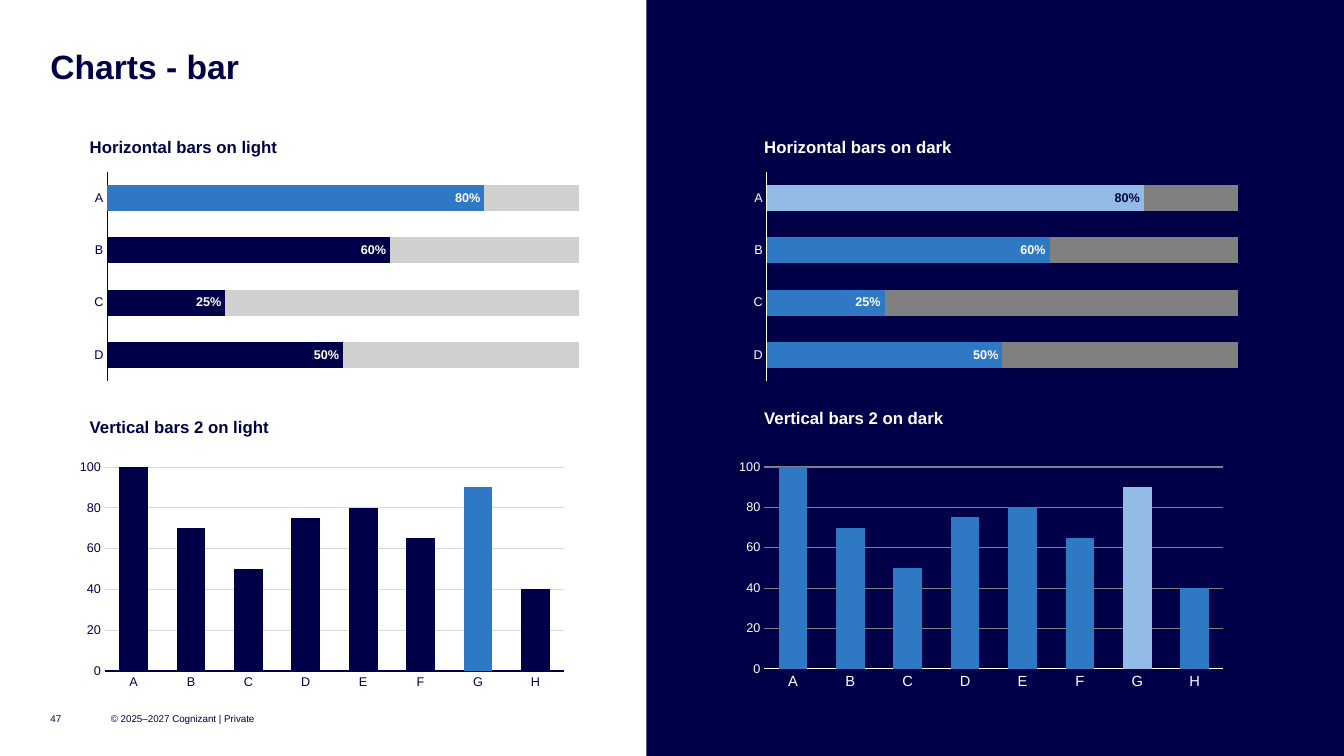
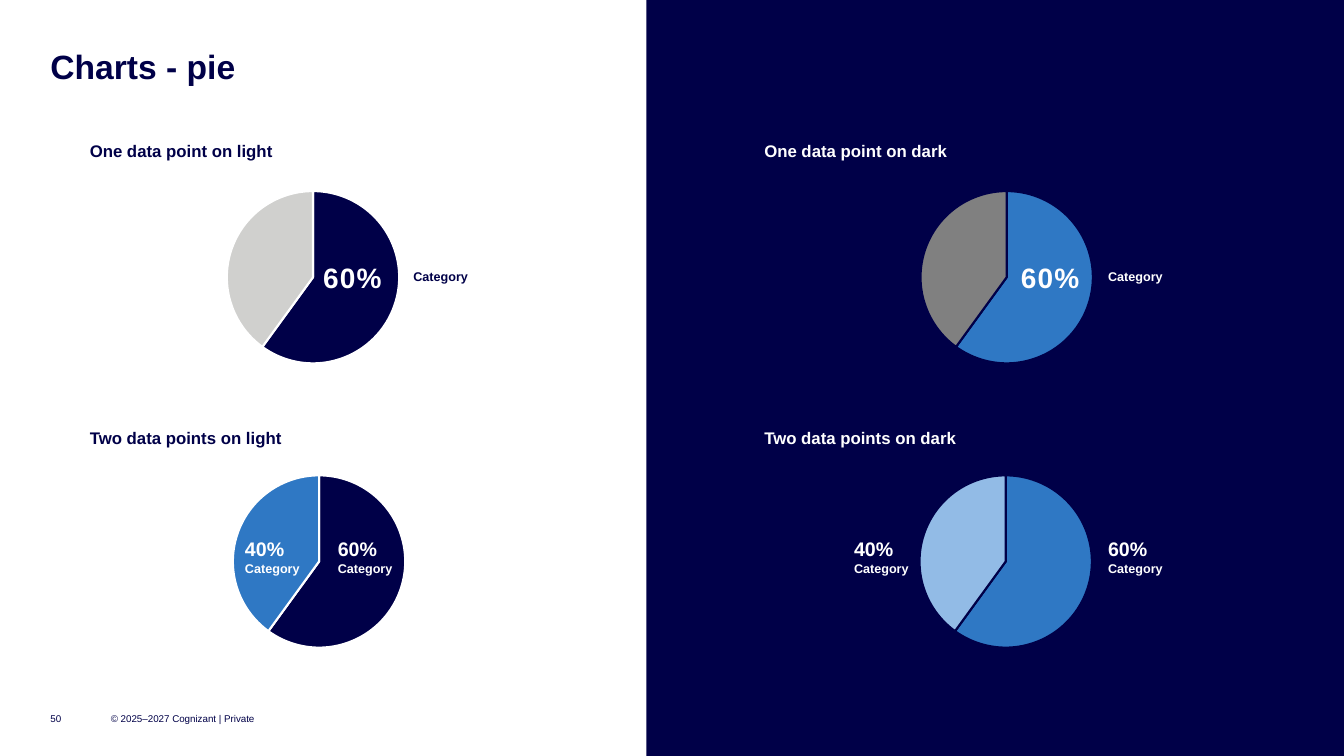
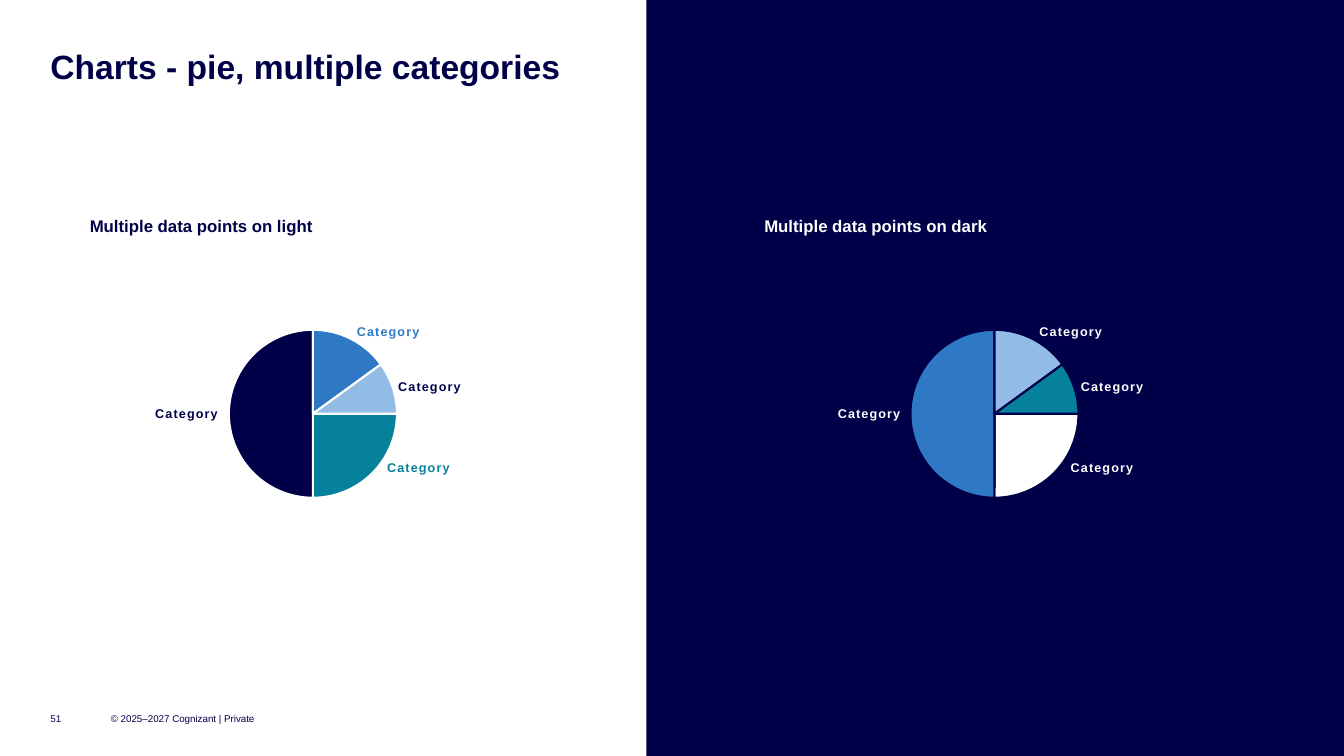
"""Builds three slides of bar and pie chart samples on light and dark halves."""
from lxml import etree
from pptx import Presentation
from pptx import util as u
from pptx.chart.data import CategoryChartData
from pptx.dml.color import RGBColor
from pptx.enum import chart as ch, shapes, text
from pptx.oxml.ns import qn

COLORS = dict(navy="000048", blue="2F78C4", sky="92BBE6", teal="05819B", white="FFFFFF",
              silver="D0D0CE", gray="808080", mist="D9D9D9")
FONT = "Arial"
WIDTH, HEIGHT = 13.33, 7.5
PANEL_LEFT = 6.41
HEADING_LEFTS = (0.89, 7.58)
FOOTER = "© 2025–2027 Cognizant | Private"

SIDES = (
    dict(name="light", ink="navy", bar="navy", accent="blue", rest="silver", edge="white",
         grid="mist", accent_label="white", letter_size=9, column_share=0.854),
    dict(name="dark", ink="white", bar="blue", accent="sky", rest="gray", edge="navy",
         grid="gray", accent_label="navy", letter_size=10.5, column_share=0.845),
)

PROGRESS = dict(zip("DCBA", (0.5, 0.25, 0.6, 0.8)))
SCORES = dict(zip("ABCDEFGH", (100, 70, 50, 75, 80, 65, 90, 40)))
BAR_HEADINGS = (("Horizontal bars on", (1.36, 1.36)), ("Vertical bars 2 on", (4.13, 4.05)))
PROGRESS_LEFTS, PROGRESS_TOP = (0.84, 7.38), 1.67
SCORE_LEFTS, SCORE_TOP = (0.69, 7.23), 4.52

SPLIT = (60, 40)
ONE_POINT = dict(heading="One data point on", top=1.4, lefts=(1.6, 8.48), pie_top=1.75,
                 value_lefts=(3.2, 10.12), category_lefts=(4.1, 10.99))
TWO_POINTS = dict(heading="Two data points on", top=4.24, lefts=(1.66, 8.47), pie_top=4.57,
                  label_top=5.33, labels=(("40%", (2.43, 8.47)), ("60%", (3.35, 10.99))))

SHARES = (25, 50, 15, 10)
SHARE_LEFTS, SHARE_TOP = (1.64, 8.4), 3.13
SHARE_COLORS = (("teal", "navy", "blue", "sky"), ("white", "blue", "sky", "teal"))
SHARE_LABELS = (
    ((1.54, 8.31), 4.03, "navy"),
    ((3.54, 10.31), 3.21, "blue"),
    ((3.95, 10.72), 3.76, "navy"),
    ((3.84, 10.62), 4.56, "teal"),
)


def rgb(name):
    return RGBColor.from_string(COLORS[name])


def inches(*lengths):
    return [u.Inches(length) for length in lengths]


def style(font, size, color, bold=False):
    font.name, font.size, font.bold = FONT, u.Pt(size), bold
    font.color.rgb = rgb(color)


def write(shape, *lines, color="navy", bold=True, wrap=True, grow=True, middle=False,
          center=False, leading=None, tracking=0):
    frame = shape.text_frame
    frame.margin_left = frame.margin_right = frame.margin_top = frame.margin_bottom = 0
    frame.word_wrap = wrap
    frame.auto_size = text.MSO_AUTO_SIZE.SHAPE_TO_FIT_TEXT if grow else text.MSO_AUTO_SIZE.NONE
    frame.vertical_anchor = text.MSO_ANCHOR.MIDDLE if middle else text.MSO_ANCHOR.TOP
    for index, (words, size) in enumerate(lines):
        paragraph = frame.add_paragraph() if index else frame.paragraphs[0]
        paragraph.alignment = text.PP_ALIGN.CENTER if center else text.PP_ALIGN.LEFT
        if leading:
            paragraph.line_spacing = leading
        run = paragraph.add_run()
        run.text = words
        style(run.font, size, color, bold)
        if tracking:
            run.font._element.set("spc", str(round(tracking * 100)))


def add_text(slide, at, *lines, **formats):
    write(slide.shapes.add_textbox(*inches(*at)), *lines, **formats)


def add_heading(slide, words, index, top, width=2.58):
    side = SIDES[index]
    add_text(slide, (HEADING_LEFTS[index], top, width, 0.2),
             (f"{words} {side['name']}", 12), color=side["ink"])


def start_slide(deck, title, number):
    slide = deck.slides.add_slide(deck.slide_layouts[5])
    heading = slide.shapes.title
    heading.left, heading.top, heading.width, heading.height = inches(0.5, 0.5, 12.33, 0.36)
    write(heading, (title, 24), leading=0.9)
    panel = slide.shapes.add_shape(shapes.MSO_SHAPE.RECTANGLE,
                                   *inches(PANEL_LEFT, 0, WIDTH - PANEL_LEFT, HEIGHT))
    panel.shadow.inherit = False
    panel.fill.solid()
    panel.fill.fore_color.rgb = rgb("navy")
    panel.line.fill.background()
    for words, left, width in ((str(number), 0.5, 0.4), (FOOTER, 1.1, 1.5)):
        add_text(slide, (left, 7, width, 0.25), (words, 7),
                 bold=False, grow=False, middle=True)
    return slide


def paint(part, color):
    part.format.fill.solid()
    part.format.fill.fore_color.rgb = rgb(color)


def add_chart(slide, kind, at, categories, rows, plot_area, number_format="General"):
    data = CategoryChartData(number_format=number_format)
    data.categories = categories
    for index, values in enumerate(rows, 1):
        data.add_series(f"Series {index}", values)
    chart = slide.shapes.add_chart(kind, *inches(*at), data).chart
    chart.has_legend = chart.has_title = False
    style(chart.font, 10, "navy")
    area = chart._chartSpace.find(".//" + qn("c:plotArea"))
    for old in area.findall(qn("c:layout")):
        area.remove(old)
    layout = etree.Element(qn("c:layout"))
    area.insert(0, layout)
    manual = etree.SubElement(layout, qn("c:manualLayout"))
    settings = [("layoutTarget", "inner"), ("xMode", "edge"), ("yMode", "edge")]
    for tag, value in settings + list(zip("xywh", plot_area)):
        etree.SubElement(manual, qn(f"c:{tag}"), val=str(value))
    return chart


def format_axes(chart, side, letter_size):
    plot = chart.plots[0]
    plot.gap_width, plot.vary_by_categories = 100, False
    for axis in (chart.category_axis, chart.value_axis):
        axis.major_tick_mark = axis.minor_tick_mark = ch.XL_TICK_MARK.NONE
        axis.has_major_gridlines = False
        style(axis.tick_labels.font, 9, side["ink"])
    letters = chart.category_axis
    letters.tick_labels.font.size = u.Pt(letter_size)
    letters.format.line.width = u.Pt(0.75)
    letters.format.line.color.rgb = rgb(side["ink"])
    for series in plot.series:
        series.invert_if_negative = False
    return plot


def add_progress(slide, index):
    side, done = SIDES[index], list(PROGRESS.values())
    rest = [round(1 - share, 2) for share in done]
    chart = add_chart(slide, ch.XL_CHART_TYPE.BAR_STACKED_100,
                      (PROGRESS_LEFTS[index], PROGRESS_TOP, 5, 2.15), list(PROGRESS),
                      (done, rest), (0.045, 0.017, 0.935, 0.965), "0%")
    plot = format_axes(chart, side, 9)
    plot.overlap = 100
    chart.value_axis.visible = False
    filled, remainder = plot.series
    paint(filled, side["bar"])
    paint(remainder, side["rest"])
    labels = filled.data_labels
    labels.show_value = True
    labels.number_format, labels.number_format_is_linked = "0%", False
    labels.position = ch.XL_LABEL_POSITION.INSIDE_END
    style(labels.font, 9, "white", True)
    best = filled.points[done.index(max(done))]
    paint(best, side["accent"])
    if side["accent_label"] != "white":
        style(best.data_label.font, 9, side["accent_label"], True)
        best.data_label.position = ch.XL_LABEL_POSITION.INSIDE_END


def add_scores(slide, index):
    side = SIDES[index]
    chart = add_chart(slide, ch.XL_CHART_TYPE.COLUMN_CLUSTERED,
                      (SCORE_LEFTS[index], SCORE_TOP, 5, 2.37), list(SCORES),
                      [list(SCORES.values())], (0.07, 0.048, 0.911, side["column_share"]))
    plot = format_axes(chart, side, side["letter_size"])
    scale = chart.value_axis
    scale.minimum_scale, scale.maximum_scale, scale.major_unit = 0, 100, 20
    scale.format.line.fill.background()
    scale.has_major_gridlines = True
    scale.major_gridlines.format.line.width = u.Pt(0.75)
    scale.major_gridlines.format.line.color.rgb = rgb(side["grid"])
    paint(plot.series[0], side["bar"])
    paint(plot.series[0].points[list(SCORES).index("G")], side["accent"])


def add_pie(slide, at, values, colors, edge, start=0):
    share = 0.855
    width = share * at[3] / at[2]
    area = [round(part, 3) for part in ((1 - width) / 2, (1 - share) / 2, width, share)]
    chart = add_chart(slide, ch.XL_CHART_TYPE.PIE, at,
                      [str(n) for n in range(1, len(values) + 1)], [values], area)
    pie = chart.plots[0]
    angle = pie._element.find(qn("c:firstSliceAng"))
    if angle is None:
        angle = etree.SubElement(pie._element, qn("c:firstSliceAng"))
    angle.set("val", str(start))
    for index, color in enumerate(colors):
        point = pie.series[0].points[index]
        paint(point, color)
        point.format.line.width = u.Pt(1.5)
        point.format.line.color.rgb = rgb(edge)


def build_bars(slide):
    for index in range(len(SIDES)):
        for words, tops in BAR_HEADINGS:
            add_heading(slide, words, index, tops[index], 4.27)
        add_progress(slide, index)
        add_scores(slide, index)


def build_pies(slide):
    for index, side in enumerate(SIDES):
        for group, second in ((ONE_POINT, "rest"), (TWO_POINTS, "accent")):
            add_heading(slide, group["heading"], index, group["top"])
            add_pie(slide, (group["lefts"][index], group["pie_top"], 3.01, 2), SPLIT,
                    (side["bar"], side[second]), side["edge"])
        add_text(slide, (ONE_POINT["value_lefts"][index], 2.58, 0.59, 0.34), ("60%", 20),
                 color="white", wrap=False, center=True, tracking=0.8)
        add_text(slide, (ONE_POINT["category_lefts"][index], 2.67, 0.55, 0.15),
                 ("Category", 9), color=side["ink"], wrap=False)
        for value, lefts in TWO_POINTS["labels"]:
            add_text(slide, (lefts[index], TWO_POINTS["label_top"], 0.55, 0.39),
                     (value, 14), ("Category", 9), color="white", wrap=False)


def build_shares(slide):
    for index, side in enumerate(SIDES):
        add_heading(slide, "Multiple data points on", index, 2.14)
        add_pie(slide, (SHARE_LEFTS[index], SHARE_TOP, 2.93, 1.95), SHARES,
                SHARE_COLORS[index], side["edge"], start=90)
        for lefts, top, color in SHARE_LABELS:
            add_text(slide, (lefts[index], top, 0.64, 0.15), ("Category", 9),
                     color=(color, "white")[index], wrap=False, tracking=0.8)


SLIDES = (
    ("Charts - bar", 47, build_bars),
    ("Charts - pie", 50, build_pies),
    ("Charts - pie, multiple categories", 51, build_shares),
)


def main():
    deck = Presentation()
    deck.slide_width, deck.slide_height = inches(WIDTH, HEIGHT)
    for title, number, build in SLIDES:
        build(start_slide(deck, title, number))
    deck.save("out.pptx")


if __name__ == "__main__":
    main()
